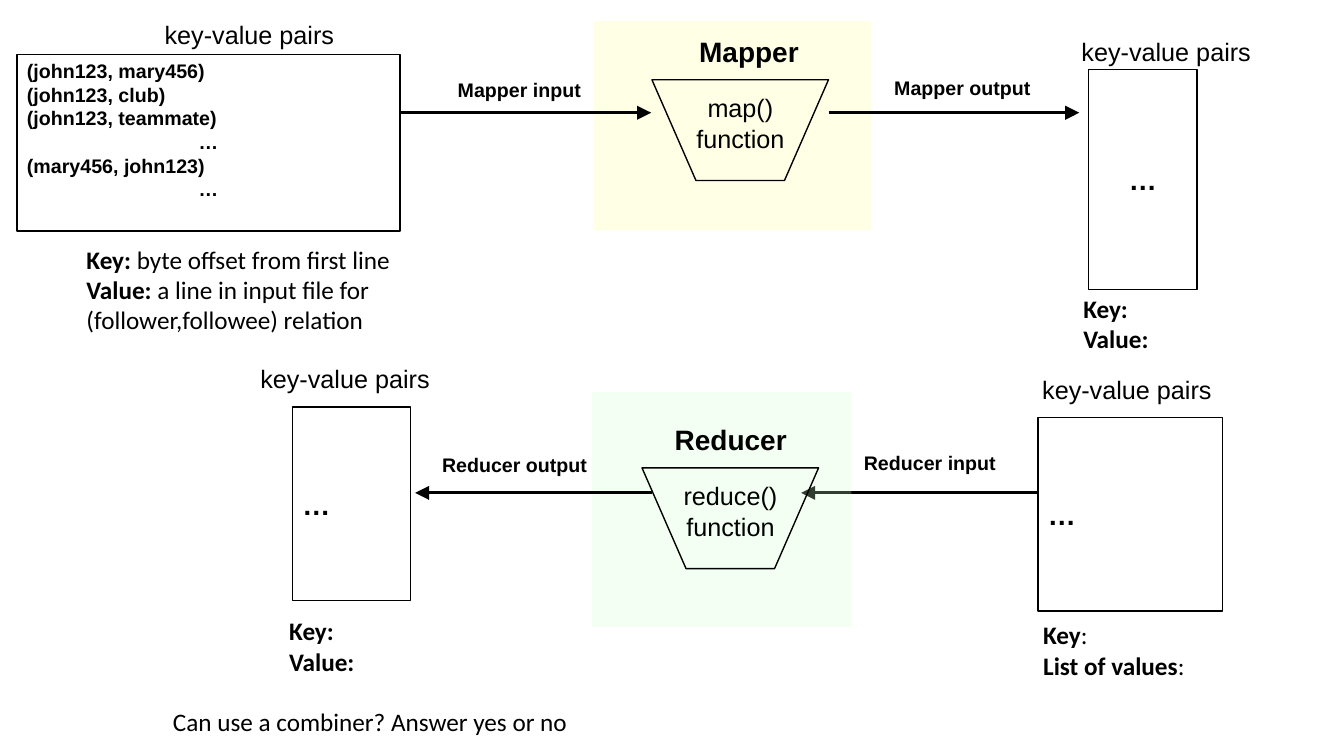
from lxml.etree import SubElement
from pptx import Presentation
from pptx.dml.color import RGBColor
from pptx.enum.shapes import MSO_CONNECTOR, MSO_SHAPE
from pptx.enum.text import MSO_ANCHOR, PP_ALIGN
from pptx.oxml.ns import qn
from pptx.util import Cm, Pt

COLORS = {"ink": "000000", "map": "FFFF99", "reduce": "CCFFCC"}
LEFT, CENTER = PP_ALIGN.LEFT, PP_ALIGN.CENTER


def color(name):
    return RGBColor.from_string(COLORS[name])


def write(tf, lines, size=18, font="Arial", bold=False, align=LEFT, anchor=MSO_ANCHOR.TOP):
    """Each line is a string, or a pair of a bold part and a plain part."""
    tf.word_wrap = True
    tf.vertical_anchor = anchor
    for i, line in enumerate(lines):
        p = tf.paragraphs[0] if i == 0 else tf.add_paragraph()
        p.alignment = CENTER if line == "…" and len(lines) > 1 else align
        parts = [(line, bold)] if isinstance(line, str) else zip(line, (True, False))
        for text, is_bold in parts:
            r = p.add_run()
            r.text = text
            r.font.size = Pt(size)
            r.font.name = font
            r.font.bold = is_bold
            r.font.color.rgb = color("ink")


class Deck:
    def __init__(self, slide, font="Arial", note_font="Calibri"):
        self.shapes = slide.shapes
        self.font = font
        self.note_font = note_font

    def outline(self, sp):
        sp.shadow.inherit = False
        sp.fill.background()
        sp.line.color.rgb = color("ink")
        sp.line.width = Pt(1)

    def panel(self, x, y, w, h, fill):
        sp = self.shapes.add_shape(MSO_SHAPE.RECTANGLE, Cm(x), Cm(y), Cm(w), Cm(h))
        sp.shadow.inherit = False
        sp.fill.solid()
        sp.fill.fore_color.rgb = color(fill)
        clr = sp.fill._xPr.find(qn("a:solidFill"))[0]
        SubElement(clr, qn("a:alpha")).set("val", "24000")
        sp.line.fill.background()

    def box(self, x, y, w, h, lines=("…",), size=20, align=LEFT, anchor=MSO_ANCHOR.MIDDLE):
        sp = self.shapes.add_shape(MSO_SHAPE.RECTANGLE, Cm(x), Cm(y), Cm(w), Cm(h))
        self.outline(sp)
        write(sp.text_frame, lines, size=size, font=self.font, bold=True, align=align, anchor=anchor)

    def text(self, x, y, w, h, *lines, **fmt):
        tb = self.shapes.add_textbox(Cm(x), Cm(y), Cm(w), Cm(h))
        write(tb.text_frame, lines, **fmt)

    def label(self, x, y, w, h, text, size=18, bold=False):
        self.text(x, y, w, h, text, size=size, font=self.font, bold=bold, align=CENTER)

    def note(self, x, y, w, *lines):
        self.text(x, y, w, 0.25 + 0.77 * len(lines), *lines, font=self.note_font)

    def funnel(self, x, y, w=4.45, h=2.54, inset=1.11):
        fb = self.shapes.build_freeform(Cm(x), Cm(y))
        corners = [(x + inset, y + h), (x + w - inset, y + h), (x + w, y)]
        fb.add_line_segments([(Cm(a), Cm(b)) for a, b in corners], close=True)
        self.outline(fb.convert_to_shape())

    def stage(self, x, y, title, title_dx, function):
        self.label(x + title_dx, y - 1.27, 3.61, 1.09, title, size=20, bold=True)
        self.funnel(x, y)
        self.label(x + 0.64, y + 0.2, 3.18, 1.78, function)

    def arrow(self, x1, x2, y):
        ln = self.shapes.add_connector(MSO_CONNECTOR.STRAIGHT, Cm(x1), Cm(y), Cm(x2), Cm(y))
        ln.line.color.rgb = color("ink")
        ln.line.width = Pt(2)
        SubElement(ln.line._get_or_add_ln(), qn("a:tailEnd"), type="triangle", w="lg", len="lg")
        SubElement(ln._element.spPr, qn("a:effectLst"))


prs = Presentation()
prs.slide_width, prs.slide_height = Cm(33.87), Cm(19.05)
s = Deck(prs.slides.add_slide(prs.slide_layouts[6]))

s.panel(14.96, 0.53, 6.99, 5.28, "map")
s.stage(16.43, 2.01, "Mapper", 0.64, "map() function")
s.arrow(10.08, 16.41, 2.84)
s.arrow(20.88, 27.2, 2.84)
s.arrow(26.16, 20.19, 12.42)
s.panel(14.91, 9.88, 6.55, 5.92, "reduce")
s.stage(16.18, 11.79, "Reducer", 0.43, "reduce() function")
s.arrow(16.43, 10.46, 12.42)

for x, y, w, text in [
    (9.93, 1.85, 6.32, "Mapper input"),
    (21.51, 1.8, 5.49, "Mapper output"),
    (21.11, 11.25, 4.65, "Reducer input"),
    (9.53, 11.28, 6.88, "Reducer output"),
]:
    s.label(x, y, w, 0.86, text, size=14, bold=True)

for x, y, w in [(3.53, 0.36, 5.51), (26.95, 0.79, 4.88), (25.96, 9.32, 4.88), (5.94, 9.04, 5.51)]:
    s.label(x, y, w, 1.02, "key-value pairs")

pairs = ["(john123, mary456)", "(john123, club)", "(john123, teammate)", "…", "(mary456, john123)", "…"]
s.box(0.43, 1.37, 9.65, 4.45, pairs, size=14, anchor=MSO_ANCHOR.TOP)
s.box(27.43, 1.75, 2.74, 5.54, align=CENTER)
s.box(26.16, 10.52, 4.65, 4.88)
s.box(7.37, 10.26, 2.97, 4.88)

s.note(1.93, 6.02, 8.31, ("Key:", " byte offset from first line"),
       ("Value:", " a line in input file for"), "(follower,followee) relation")
for x, y in [(27.05, 7.26), (7.04, 15.39)]:
    s.note(x, y, 4.01, ("Key:",), ("Value:",))
s.note(26.04, 15.49, 7.16, ("Key", ":"), ("List of values", ":"))
s.note(4.11, 17.68, 12.83, "Can use a combiner? Answer yes or no")

prs.save("out.pptx")
